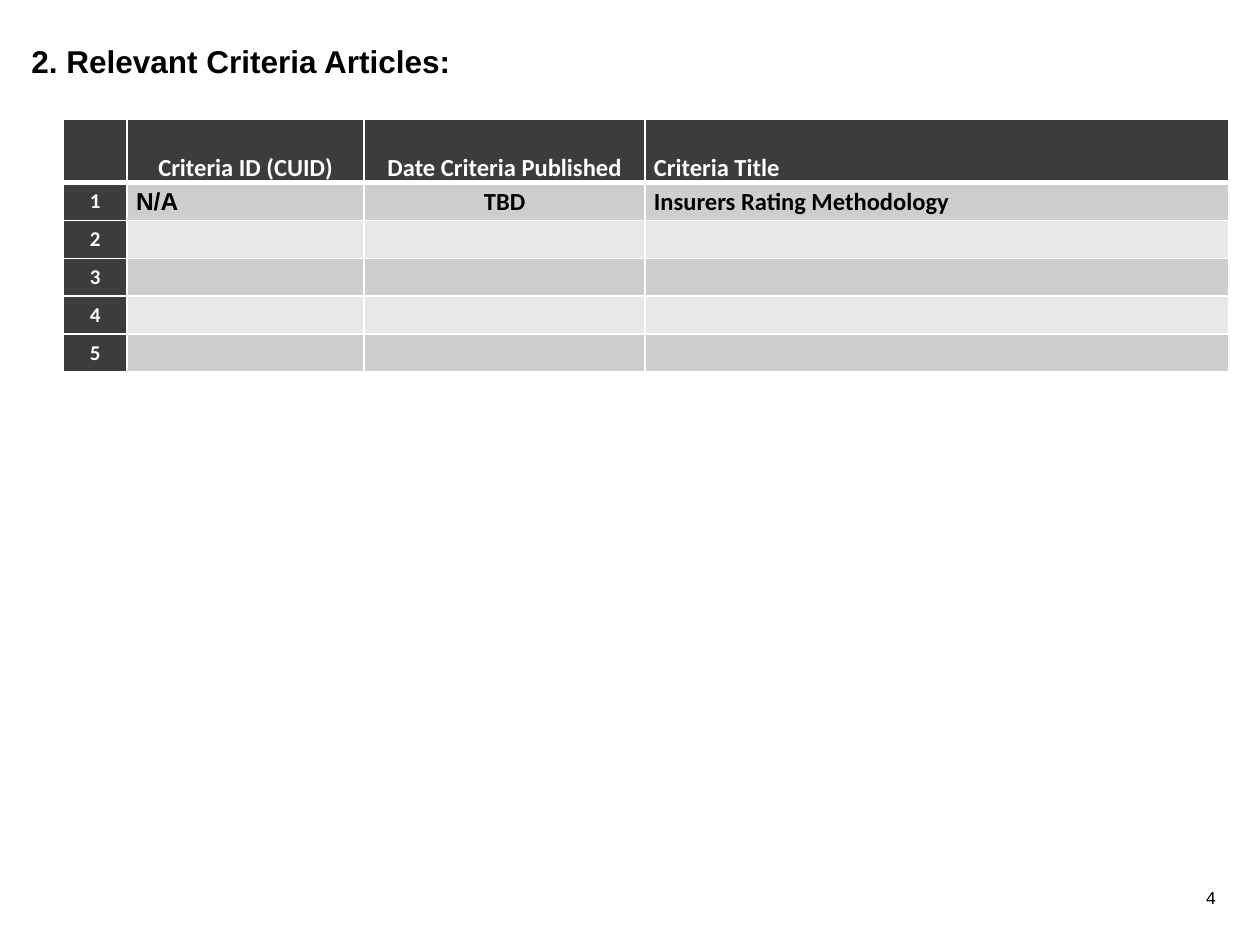
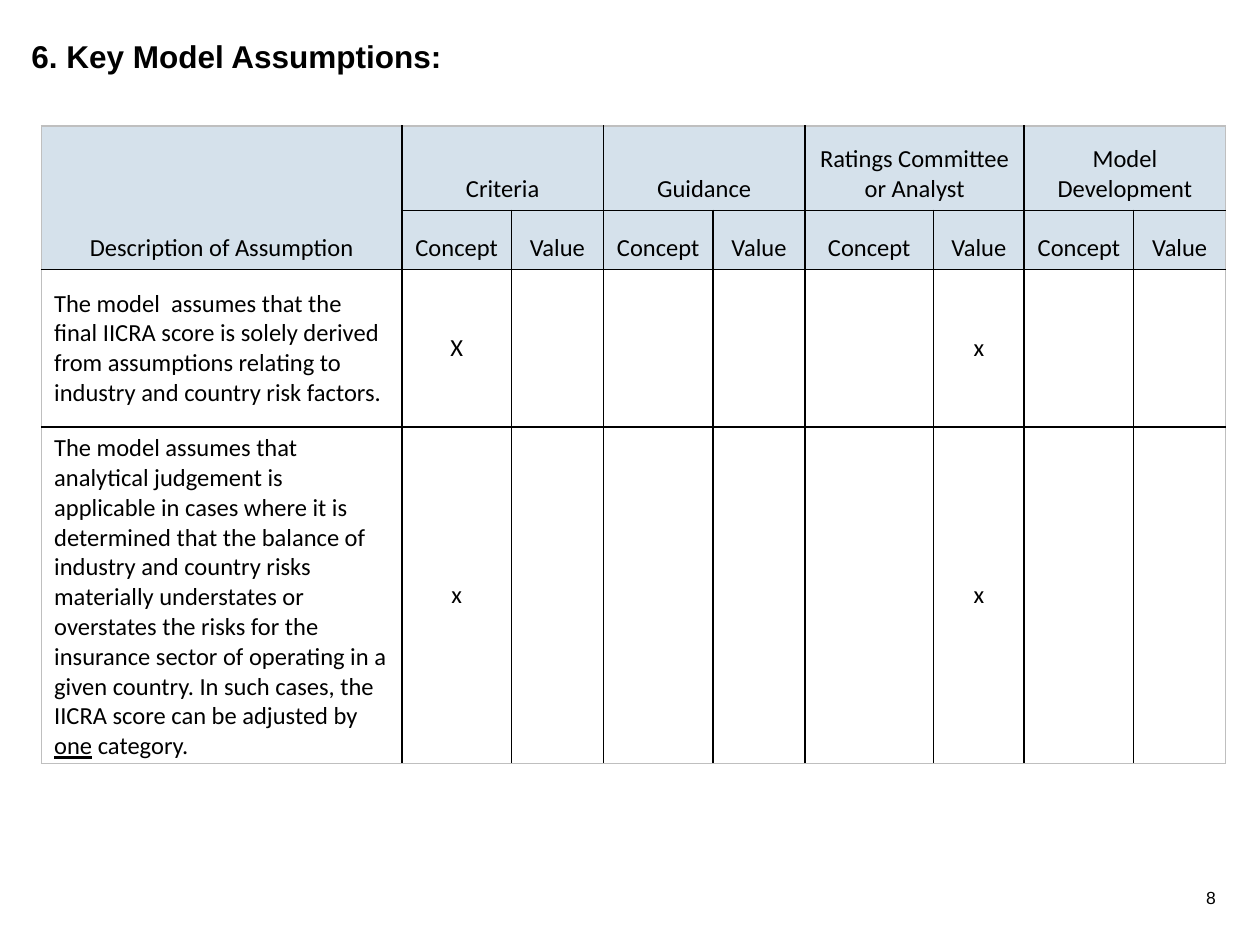
from dataclasses import dataclass

from lxml import etree
from pptx import Presentation
from pptx import util as u
from pptx.dml import color
from pptx.enum import text as t
from pptx.oxml import ns


@dataclass(frozen=True)
class Theme:
    ink: str = "000000"
    paper: str = "FFFFFF"
    charcoal: str = "3C3C3B"
    band_dark: str = "CECECE"
    band_light: str = "E8E8E8"
    pale_blue: str = "D5E1EB"
    frame_grey: str = "BFBFBF"
    heading_font: str = "Arial"
    table_font: str = "Calibri"
    title_size: int = 18
    table_size: int = 14
    index_size: int = 12
    number_size: int = 10


theme = Theme()
LEFT, CENTER, RIGHT = t.PP_ALIGN.LEFT, t.PP_ALIGN.CENTER, t.PP_ALIGN.RIGHT
TOP, MIDDLE, BOTTOM = t.MSO_ANCHOR.TOP, t.MSO_ANCHOR.MIDDLE, t.MSO_ANCHOR.BOTTOM


def write(frame, words, size, font, ink=theme.ink, bold=False, align=LEFT, spacing=None):
    frame.text = words
    frame.word_wrap = True
    for paragraph in frame.paragraphs:
        paragraph.alignment = align
        if spacing:
            paragraph.line_spacing = spacing
        plain, *rest = paragraph.text.split("_")
        if plain:
            paragraph.text = plain
        for piece in rest:
            paragraph.add_run().text = piece
        for order, run in enumerate(paragraph.runs):
            run.font.size = u.Pt(size)
            run.font.name = font
            run.font.bold = bold
            run.font.color.rgb = color.RGBColor.from_string(ink)
            if order % 2:
                run.font.underline = True


def finish(cell, fill, borders):
    if fill:
        cell.fill.solid()
        cell.fill.fore_color.rgb = color.RGBColor.from_string(fill)
    else:
        cell.fill.background()
    properties = cell._tc.get_or_add_tcPr()
    for place, side in enumerate("LRTB"):
        ink, width = borders[side]
        line = etree.Element(ns.qn(f"a:ln{side}"), w=str(u.Pt(width)))
        solid = etree.SubElement(line, ns.qn("a:solidFill"))
        etree.SubElement(solid, ns.qn("a:srgbClr"), val=ink)
        properties.insert(place, line)


prs = Presentation()
prs.slide_width, prs.slide_height = u.Inches(10), u.Inches(7.5)
unit = prs.slide_width // 100

pages = [
    ("2. Relevant Criteria Articles:", 3.1, "4", (5, 9.5),
     [5.1, 18.8, 22.3, 46.3], [5] + [3] * 5),
    ("6. Key Model Assumptions:", 2.7, "8", (3.3, 10),
     [28.6] + [8.7, 7.3] * 2 + [10.2, 7.2, 8.7, 7.3], [6.7, 4.7, 12.5, 22.3]),
]
tables = []
for title, title_top, number, corner, columns, rows in pages:
    slide = prs.slides.add_slide(prs.slide_layouts[6])
    for words, place, size, bold, align, anchor in [
        (number, (94.2, 70.4, 2.3, 2.8), theme.number_size, False, RIGHT, TOP),
        (title, (2.5, title_top, 95, 3.5), theme.title_size, True, LEFT, MIDDLE),
    ]:
        frame = slide.shapes.add_textbox(*(int(unit * share) for share in place)).text_frame
        frame.margin_left = frame.margin_right = frame.margin_top = frame.margin_bottom = 0
        frame.vertical_anchor = anchor
        write(frame, words, size, theme.heading_font, bold=bold, align=align)

    area = (*corner, sum(columns), sum(rows))
    table = slide.shapes.add_table(
        len(rows), len(columns), *(int(unit * share) for share in area)).table
    table.first_row = table.horz_banding = False
    for column, share in zip(table.columns, columns):
        column.width = int(unit * share)
    for row, share in zip(table.rows, rows):
        row.height = int(unit * share)
    tables.append(table)

articles, assumptions = tables

article_rows = [
    ["", "Criteria ID (CUID)", "Date Criteria Published", "Criteria Title"],
    ["1", "N/A", "TBD", "Insurers Rating Methodology"],
] + [[str(index), "", "", ""] for index in range(2, 6)]
for r, article in enumerate(article_rows):
    for c, words in enumerate(article):
        cell = articles.cell(r, c)
        header, index = r == 0, c == 0
        cell.margin_left = cell.margin_right = int(unit * 0.7)
        cell.margin_top = cell.margin_bottom = 0
        cell.vertical_anchor = BOTTOM if header else MIDDLE
        centred = index or c == 2 or (header and c == 1)
        write(cell.text_frame, words,
              theme.index_size if index else theme.table_size,
              theme.heading_font if words == "N/A" else theme.table_font,
              theme.paper if header or index else theme.ink, True,
              CENTER if centred else LEFT, 1.15 if header else None)
        band = theme.band_dark if r % 2 else theme.band_light
        borders = dict.fromkeys("LRTB", (theme.paper, 1))
        if r < 2:
            borders["T" if r else "B"] = (theme.paper, 3)
        finish(cell, theme.charcoal if header or index else band, borders)

assumptions.cell(0, 0).merge(assumptions.cell(1, 0))
for c in range(1, 9, 2):
    assumptions.cell(0, c).merge(assumptions.cell(0, c + 1))

assumption_rows = [
    ["Description of Assumption", "Criteria", "", "Guidance", "",
     "Ratings Committee\nor Analyst", "", "Model Development", ""],
    [""] + ["Concept", "Value"] * 4,
    ["The model  assumes that the final IICRA score is solely derived from "
     "assumptions relating to\nindustry and country risk factors.",
     "X", "", "", "", "", "x", "", ""],
    ["The model assumes that analytical judgement is applicable in cases where it is "
     "determined that the balance of industry and country risks materially understates "
     "or overstates the risks for the insurance sector of operating in a given country. "
     "In such cases, the IICRA score can be adjusted by _one_ category.",
     "x", "", "", "", "", "x", "", ""],
]
for r, assumption in enumerate(assumption_rows):
    for c, words in enumerate(assumption):
        cell = assumptions.cell(r, c)
        header = r < 2
        cell.vertical_anchor = BOTTOM if header else MIDDLE
        write(cell.text_frame, words, theme.table_size, theme.table_font,
              align=CENTER if header or c else LEFT)
        next_column = c + (cell.span_width if cell.is_merge_origin else 1)
        outer = {"L": c == 0, "R": next_column == 9, "T": r == 0, "B": r == 3}
        borders = {side: (theme.frame_grey if edge else theme.ink, 1)
                   for side, edge in outer.items()}
        finish(cell, theme.pale_blue if header else None, borders)

prs.save("out.pptx")
